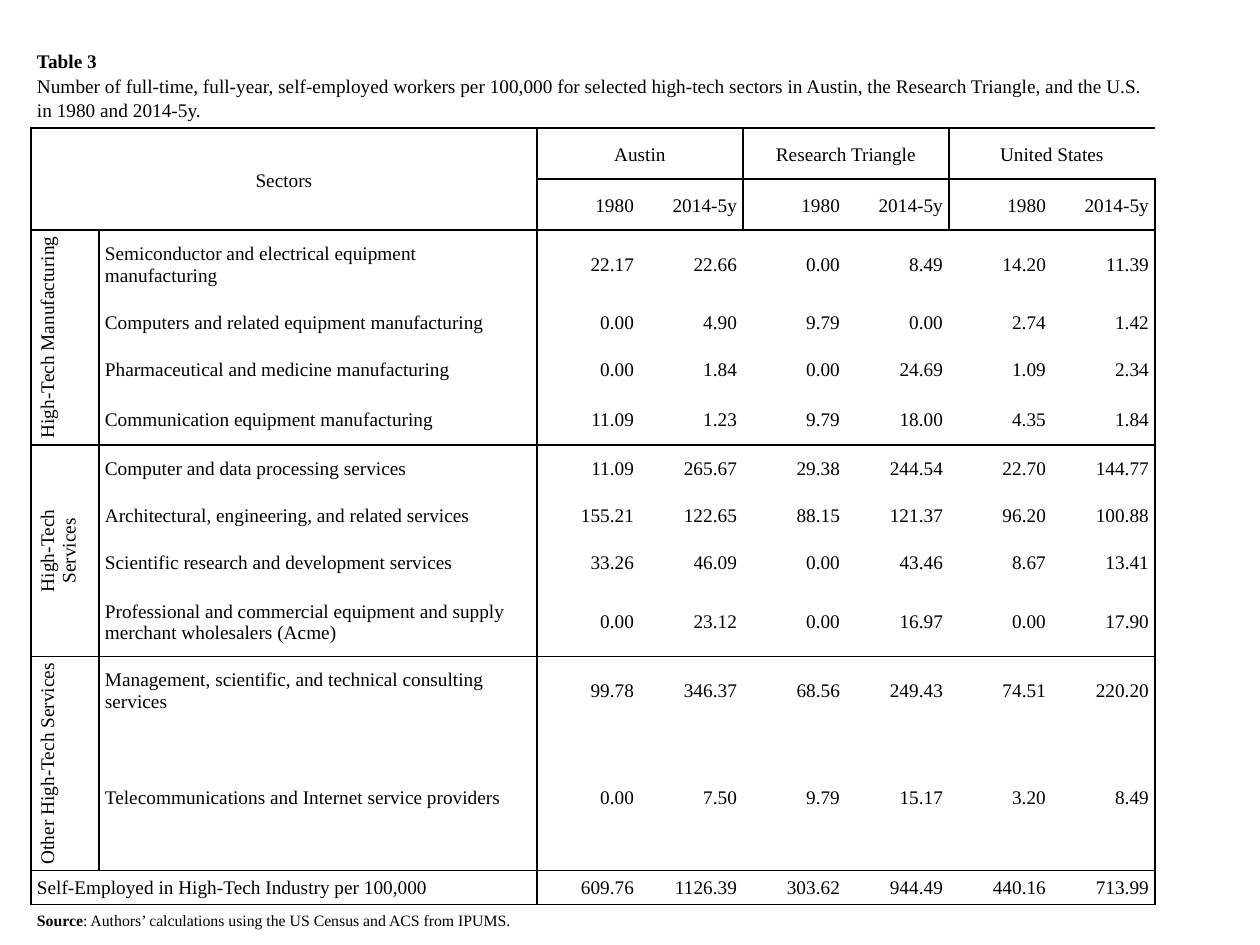
from lxml.etree import SubElement
from pptx import Presentation
from pptx.dml.color import RGBColor
from pptx.enum.text import MSO_ANCHOR, PP_ALIGN
from pptx.oxml.ns import qn
from pptx.util import Pt

PX = 914400 // 126
INK = {"text": "000000", "line": "000000"}
LEFT, MID, RIGHT = PP_ALIGN.LEFT, PP_ALIGN.CENTER, PP_ALIGN.RIGHT


def write(cell, *lines, align=LEFT, size=11, space=1.0, vert=None):
    frame = cell.text_frame
    for i, line in enumerate(lines):
        para = frame.add_paragraph() if i else frame.paragraphs[0]
        para.alignment = align
        para.line_spacing = space
        for text, bold in [(line, False)] if isinstance(line, str) else line:
            run = para.add_run()
            run.text = text
            run.font.name = "Times New Roman"
            run.font.size = Pt(size)
            run.font.bold = bold
            run.font.color.rgb = RGBColor.from_string(INK["text"])
    if vert:
        cell._tc.get_or_add_tcPr().set("vert", vert)


def border(cell, side, shown):
    line = SubElement(cell._tc.get_or_add_tcPr(), qn("a:ln" + side), w=str(Pt(1)))
    if shown:
        fill = SubElement(line, qn("a:solidFill"))
        SubElement(fill, qn("a:srgbClr"), val=INK["line"])
    else:
        SubElement(line, qn("a:noFill"))


groups = [
    (["High-Tech Manufacturing"], [
        ("Semiconductor and electrical equipment manufacturing",
         "22.17 22.66 0.00 8.49 14.20 11.39"),
        ("Computers and related equipment manufacturing",
         "0.00 4.90 9.79 0.00 2.74 1.42"),
        ("Pharmaceutical and medicine manufacturing",
         "0.00 1.84 0.00 24.69 1.09 2.34"),
        ("Communication equipment manufacturing",
         "11.09 1.23 9.79 18.00 4.35 1.84"),
    ]),
    (["High-Tech", "Services"], [
        ("Computer and data processing services",
         "11.09 265.67 29.38 244.54 22.70 144.77"),
        ("Architectural, engineering, and related services",
         "155.21 122.65 88.15 121.37 96.20 100.88"),
        ("Scientific research and development services",
         "33.26 46.09 0.00 43.46 8.67 13.41"),
        ("Professional and commercial equipment and supply "
         "merchant wholesalers (Acme)",
         "0.00 23.12 0.00 16.97 0.00 17.90"),
    ]),
    (["Other High-Tech Services"], [
        ("Management, scientific, and technical consulting services",
         "99.78 346.37 68.56 249.43 74.51 220.20"),
        ("Telecommunications and Internet service providers",
         "0.00 7.50 9.79 15.17 3.20 8.49"),
    ]),
]
places = ["Austin", "Research Triangle", "United States"]
totals = "609.76 1126.39 303.62 944.49 440.16 713.99"
widths = [68, 438] + [103] * 6
heights = [86, 51, 51, 70, 46, 49, 50, 48, 46, 49, 69, 69, 145, 34, 34]

deck = Presentation()
deck.slide_width, deck.slide_height = 1260 * PX, 945 * PX
slide = deck.slides.add_slide(deck.slide_layouts[6])
frame = slide.shapes.add_table(len(heights), len(widths), 31 * PX, 42 * PX,
                               sum(widths) * PX, sum(heights) * PX)
table = frame.table
table.first_row = table.horz_banding = False
for col, width in zip(table.columns, widths):
    col.width = width * PX
for row, height in zip(table.rows, heights):
    row.height = height * PX

across = {1: 0, 2: 2, 3: 0, 7: 0, 11: 0, 13: 0, 14: 0}
down = {0: (1, 13), 1: (3, 12), 2: (1, 13), 4: (1, 2), 6: (1, 2), 8: (1, 13)}
for r in range(len(heights)):
    for c in range(len(widths)):
        cell = table.cell(r, c)
        cell.vertical_anchor = MSO_ANCHOR.MIDDLE
        cell.margin_left = cell.margin_right = 6 * PX
        cell.margin_top = cell.margin_bottom = 6 * PX
        for side, x in (("L", c), ("R", c + 1)):
            first, last = down.get(x, (1, 0))
            border(cell, side, first <= r <= last)
        for side, y in (("T", r), ("B", r + 1)):
            border(cell, side, c >= across.get(y, 8))
        cell.fill.background()

for r, c, r2, c2 in [(0, 0, 0, 7), (1, 0, 2, 1), (13, 0, 13, 1), (14, 0, 14, 7)]:
    table.cell(r, c).merge(table.cell(r2, c2))

write(table.cell(0, 0), [("Table 3", True)],
      "Number of full-time, full-year, self-employed workers per 100,000 for "
      "selected high-tech sectors in Austin, the Research Triangle, and the U.S. "
      "in 1980 and 2014-5y.", space=1.15)
write(table.cell(1, 0), "Sectors", align=MID, space=1.15)
for i, place in enumerate(places):
    c = 2 + 2 * i
    table.cell(1, c).merge(table.cell(1, c + 1))
    write(table.cell(1, c), place, align=MID, space=1.15)
    for j, year in enumerate(["1980", "2014-5y"]):
        write(table.cell(2, c + j), year, align=RIGHT, space=1.15)

r = 3
for name, sectors in groups:
    table.cell(r, 0).merge(table.cell(r + len(sectors) - 1, 0))
    write(table.cell(r, 0), *name, align=MID, vert="vert270")
    for sector, rates in sectors:
        write(table.cell(r, 1), sector)
        for c, rate in enumerate(rates.split(), 2):
            write(table.cell(r, c), rate, align=RIGHT)
        r += 1

write(table.cell(13, 0), "Self-Employed in High-Tech Industry per 100,000")
for c, total in enumerate(totals.split(), 2):
    write(table.cell(13, c), total, align=RIGHT)
write(table.cell(14, 0), [
    ("Source", True),
    (": Authors’ calculations using the US Census and ACS from IPUMS.", False),
], size=9)

deck.save("out.pptx")
